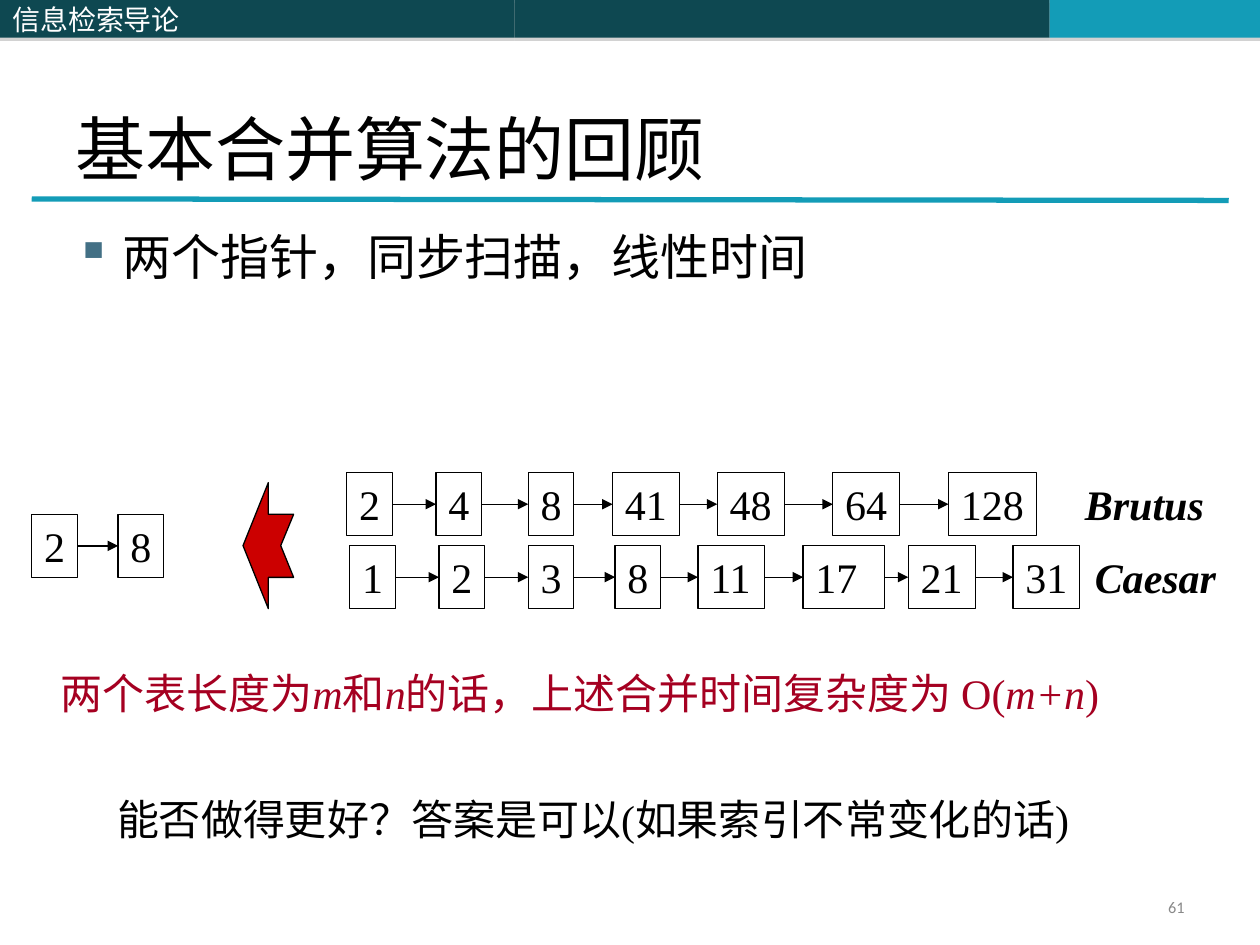
from lxml.etree import SubElement
from pptx import Presentation
from pptx.dml.color import RGBColor
from pptx.enum.shapes import MSO_CONNECTOR, MSO_SHAPE
from pptx.enum.text import MSO_ANCHOR, PP_ALIGN
from pptx.oxml.ns import qn
from pptx.util import Cm, Pt

COLORS = {
    "black": "000000",
    "white": "FFFFFF",
    "dark": "0E4851",
    "teal": "139CB7",
    "shadow": "808080",
    "bullet": "437085",
    "arrow": "CC0000",
    "red": "A50021",
    "gray": "898989",
}
SERIF, CJK, SANS = "Times New Roman", "Noto Sans CJK SC", "Calibri"

HEADER = "信息检索导论"
TITLE = "基本合并算法的回顾"
BULLET = "两个指针，同步扫描，线性时间"
COMPLEXITY = [
    ("两个表长度为", False),
    ("m", True),
    ("和", False),
    ("n", True),
    ("的话，上述合并时间复杂度为 O(", False),
    ("m+n", True),
    (")", False),
]
QUESTION = "能否做得更好？答案是可以(如果索引不常变化的话)"
PAGE_NUMBER = "61"

HEADER_BARS = [(10.37, 10.79, "dark"), (21.16, 4.24, "teal"), (0, 10.37, "dark")]
POSTINGS = [
    (9.53, [("2", 6.99), ("4", 8.79), ("8", 10.65), ("41", 12.35),
            ("48", 14.46), ("64", 16.79), ("128", 19.12)]),
    (11.0, [("1", 7.05), ("2", 8.85), ("3", 10.65), ("8", 12.4),
            ("11", 14.07), ("17", 16.19), ("21", 18.31), ("31", 20.42)]),
    (10.37, [("2", 0.64), ("8", 2.38)]),
]
TERMS = [("Brutus", 21.62, 9.53, 2.9), ("Caesar", 21.82, 11.0, 2.95)]
WIDE_BOXES = {"17": 1.64}
BOX_HEIGHT = 1.27
MERGE_ARROW = [(4.9, 11.0), (5.41, 9.73), (5.41, 10.37), (5.92, 10.37),
               (5.66, 11.0), (5.92, 11.64), (5.41, 11.64), (5.41, 12.27)]


def rgb(name):
    return RGBColor.from_string(COLORS[name])


def write_text(shape, runs, size=24, font=SERIF, color="black", bold=False, italic=False,
               align=PP_ALIGN.LEFT, anchor=MSO_ANCHOR.TOP, wrap=True):
    frame = shape.text_frame
    frame.word_wrap = wrap
    frame.vertical_anchor = anchor
    paragraph = frame.paragraphs[0]
    paragraph.alignment = align
    for text, slanted in [(runs, italic)] if isinstance(runs, str) else runs:
        run = paragraph.add_run()
        run.text = text
        run.font.size = Pt(size)
        run.font.name = font
        run.font.bold = bold
        run.font.italic = slanted
        run.font.color.rgb = rgb(color)
        SubElement(run.font._element, qn("a:ea"), typeface=CJK)
    return paragraph


def add_text(slide, area, runs, **formatting):
    box = slide.shapes.add_textbox(*map(Cm, area))
    return write_text(box, runs, **formatting)


def add_rectangle(slide, area):
    shape = slide.shapes.add_shape(MSO_SHAPE.RECTANGLE, *map(Cm, area))
    shape.shadow.inherit = False
    return shape


def add_line(slide, start, end, color="black", width=0.75, arrow=False):
    line = slide.shapes.add_connector(MSO_CONNECTOR.STRAIGHT, *map(Cm, start + end))
    line.line.color.rgb = rgb(color)
    line.line.width = Pt(width)
    if arrow:
        SubElement(line.line._get_or_add_ln(), qn("a:tailEnd"), type="triangle")
    SubElement(line._element.spPr, qn("a:effectLst"))


def add_header_bar(slide, left, width, color):
    bar = add_rectangle(slide, (left, 0, width, 0.76))
    bar.fill.solid()
    bar.fill.fore_color.rgb = rgb(color)
    bar.line.fill.background()
    effects = bar._element.spPr.find(qn("a:effectLst"))
    shadow = SubElement(effects, qn("a:outerShdw"), dist=str(Pt(1.8)), dir="5400000")
    shadow_color = SubElement(shadow, qn("a:srgbClr"), val=COLORS["shadow"])
    SubElement(shadow_color, qn("a:alpha"), val="35000")
    return bar


def box_width(label):
    return WIDE_BOXES.get(label, 0.49 + 0.43 * len(label))


def add_postings(slide, top, entries):
    for label, left in entries:
        box = add_rectangle(slide, (left, top, box_width(label), BOX_HEIGHT))
        box.fill.background()
        box.line.color.rgb = rgb("black")
        box.line.width = Pt(0.75)
        write_text(box, label, wrap=label in WIDE_BOXES)
    middle = top + BOX_HEIGHT / 2
    for (label, left), (_, next_left) in zip(entries, entries[1:]):
        add_line(slide, (left + box_width(label), middle), (next_left, middle), arrow=True)


def add_merge_arrow(slide):
    points = [(Cm(x), Cm(y)) for x, y in MERGE_ARROW]
    builder = slide.shapes.build_freeform(*points[0])
    builder.add_line_segments(points[1:], close=True)
    arrow = builder.convert_to_shape()
    arrow.shadow.inherit = False
    arrow.fill.solid()
    arrow.fill.fore_color.rgb = rgb("arrow")
    arrow.line.color.rgb = rgb("black")
    arrow.line.width = Pt(0.75)


def add_bullet(paragraph):
    paragraph.space_before = Pt(7)
    properties = paragraph._p.get_or_add_pPr()
    properties.set("marL", str(Cm(0.95)))
    properties.set("indent", str(-Cm(0.95)))
    bullet_color = SubElement(properties, qn("a:buClr"))
    SubElement(bullet_color, qn("a:srgbClr"), val=COLORS["bullet"])
    SubElement(properties, qn("a:buChar"), char="▪")


def main():
    presentation = Presentation()
    presentation.slide_width, presentation.slide_height = Cm(25.4), Cm(19.05)
    slide = presentation.slides.add_slide(presentation.slide_layouts[6])

    bars = [add_header_bar(slide, *bar) for bar in HEADER_BARS]
    write_text(bars[-1], HEADER, size=16, font=CJK, color="white", anchor=MSO_ANCHOR.MIDDLE)
    add_line(slide, (0.64, 4.01), (24.77, 4.04), color="teal", width=3)

    add_text(slide, (1.27, 0.76, 22.86, 3.18), TITLE, size=40, anchor=MSO_ANCHOR.BOTTOM)
    add_bullet(add_text(slide, (1.27, 4.45, 22.86, 13.77), BULLET, size=28))

    for top, entries in POSTINGS:
        add_postings(slide, top, entries)
    for term, left, top, width in TERMS:
        add_text(slide, (left, top, width, BOX_HEIGHT), term, bold=True, italic=True, wrap=False)
    add_merge_arrow(slide)

    add_text(slide, (0.97, 13.34, 22.48, 2.29), COMPLEXITY, color="red", wrap=False)
    add_text(slide, (2.11, 15.88, 21.39, 1.27), QUESTION)
    number = add_text(slide, (18.21, 17.98, 5.92, 0.69), PAGE_NUMBER, size=9.3, font=SANS,
                      color="gray", align=PP_ALIGN.RIGHT, anchor=MSO_ANCHOR.MIDDLE)
    number.line_spacing = 0.8
    presentation.save("out.pptx")


if __name__ == "__main__":
    main()
